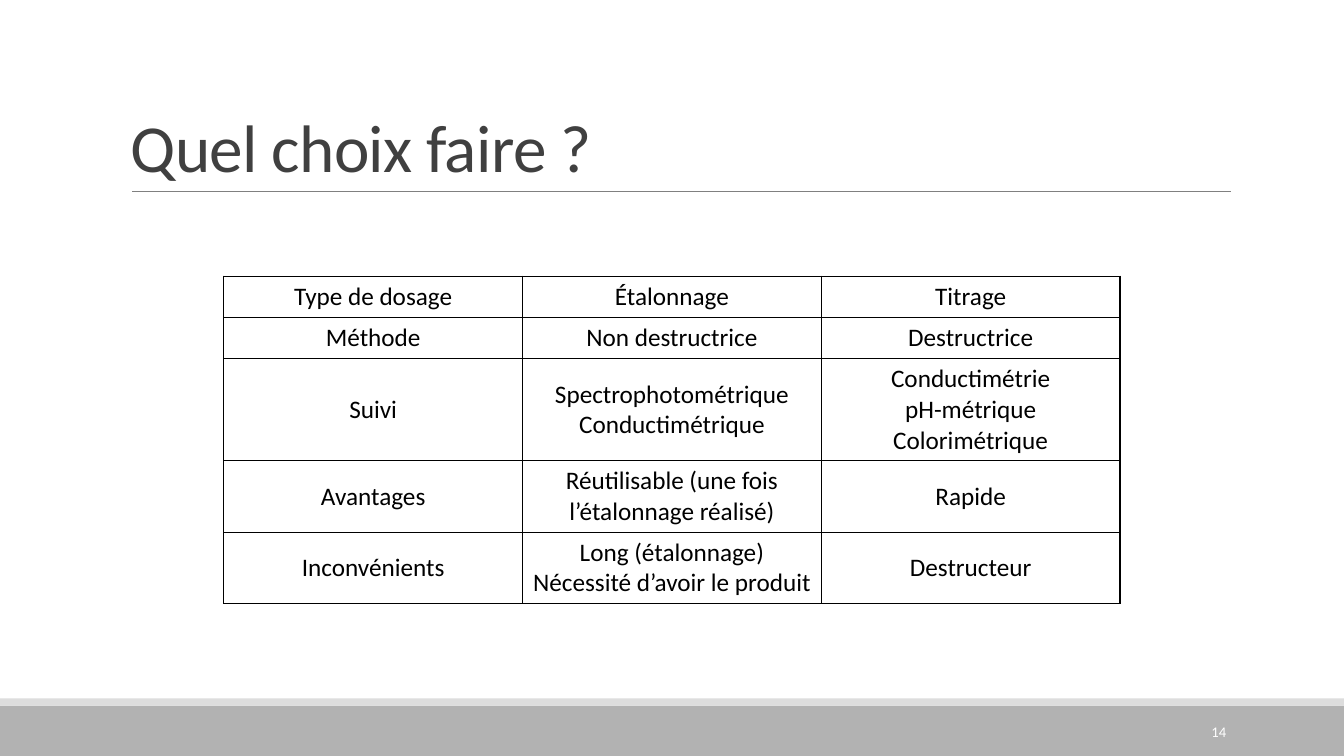
import dataclasses

import pptx
import pptx.dml.color
import pptx.enum.shapes
import pptx.enum.text
import pptx.oxml
import pptx.oxml.ns
import pptx.util

Inches = pptx.util.Inches
Pt = pptx.util.Pt
ALIGN = pptx.enum.text.PP_ALIGN
ANCHOR = pptx.enum.text.MSO_ANCHOR


@dataclasses.dataclass(frozen=True)
class Theme:
    font: str = "Calibri"
    title: str = "404040"
    body: str = "000000"
    rule: str = "808080"
    band: str = "B2B2B2"
    strip: str = "DDDDDD"
    number: str = "FFFFFF"
    title_size: float = 48
    body_size: float = 18
    number_size: float = 10.5


THEME = Theme()

ROWS = [
    ["Type de dosage", "Étalonnage", "Titrage"],
    ["Méthode", "Non destructrice", "Destructrice"],
    ["Suivi", "Spectrophotométrique\nConductimétrique",
     "Conductimétrie\npH-métrique\nColorimétrique"],
    ["Avantages", "Réutilisable (une fois l’étalonnage réalisé)", "Rapide"],
    ["Inconvénients", "Long (étalonnage)\nNécessité d’avoir le produit", "Destructeur"],
]
LINES_PER_ROW = [1, 1, 3, 2, 2]


def rgb(color):
    return pptx.dml.color.RGBColor.from_string(color)


def write(tf, text, size, color, align=ALIGN.LEFT, line_spacing=None, tracking=None):
    """Fill a text frame with one paragraph per line of text; tracking is in points."""
    for i, line in enumerate(text.split("\n")):
        p = tf.add_paragraph() if i else tf.paragraphs[0]
        p.alignment = align
        if line_spacing:
            p.line_spacing = line_spacing
        r = p.add_run()
        r.text = line
        r.font.name = THEME.font
        r.font.size = Pt(size)
        r.font.color.rgb = rgb(color)
        if tracking:
            r._r.get_or_add_rPr().set("spc", str(int(tracking * 100)))


def add_text(slide, box, text, anchor, **fmt):
    tf = slide.shapes.add_textbox(*map(Inches, box)).text_frame
    tf.word_wrap = True
    tf.vertical_anchor = anchor
    write(tf, text, **fmt)


def add_bar(slide, box, color):
    sp = slide.shapes.add_shape(pptx.enum.shapes.MSO_SHAPE.RECTANGLE, *map(Inches, box))
    sp.shadow.inherit = False
    sp.fill.solid()
    sp.fill.fore_color.rgb = rgb(color)
    sp.line.fill.background()


def add_footer(slide, box, number):
    left, top, width, height = box
    strip = 0.07
    add_bar(slide, (left, top + strip, width, height - strip), THEME.band)
    add_bar(slide, (left, top, width, strip), THEME.strip)
    add_text(slide, (left + width - 2.5, top + 0.13, 1.43, 0.4), number, ANCHOR.MIDDLE,
             size=THEME.number_size, color=THEME.number, align=ALIGN.RIGHT)


def add_title(slide, box, text):
    """Place the title at the bottom of its box, with a rule under it."""
    left, top, width, height = box
    y = Inches(top + height)
    rule = slide.shapes.add_connector(pptx.enum.shapes.MSO_CONNECTOR.STRAIGHT,
                                      Inches(left + 0.11), y, Inches(left + width + 0.01), y)
    rule.line.color.rgb = rgb(THEME.rule)
    rule.line.width = Pt(0.5)
    rule._element.spPr.append(pptx.oxml.parse_xml(
        f"<a:effectLst {pptx.oxml.ns.nsdecls('a')}/>"))
    add_text(slide, box, text, ANCHOR.BOTTOM, size=THEME.title_size, color=THEME.title,
             line_spacing=0.85, tracking=-0.5)


def set_borders(cell, color, points):
    tcPr = cell._tc.get_or_add_tcPr()
    for i, side in enumerate(("lnL", "lnR", "lnT", "lnB")):
        tcPr.insert(i, pptx.oxml.parse_xml(
            f'<a:{side} {pptx.oxml.ns.nsdecls("a")} w="{Pt(points)}">'
            f'<a:solidFill><a:srgbClr val="{color}"/></a:solidFill></a:{side}>'))


def add_comparison(slide, box, rows, lines_per_row):
    """Draw the table; each row is as high as its number of text lines needs."""
    table = slide.shapes.add_table(len(rows), len(rows[0]), *map(Inches, box)).table
    table.first_row = table.horz_banding = False
    for row, lines in zip(table.rows, lines_per_row):
        row.height = Inches(0.41 + 0.3 * (lines - 1))
    for row, texts in zip(table.rows, rows):
        for cell, text in zip(row.cells, texts):
            cell.fill.background()
            cell.vertical_anchor = ANCHOR.MIDDLE
            set_borders(cell, THEME.body, 1)
            write(cell.text_frame, text, THEME.body_size, THEME.body, ALIGN.CENTER)


def main():
    prs = pptx.Presentation()
    prs.slide_width, prs.slide_height = Inches(13.33), Inches(7.5)
    slide = prs.slides.add_slide(prs.slide_layouts[6])
    add_footer(slide, (0, 6.93, 13.33, 0.57), "14")
    add_title(slide, (1.2, 0.31, 11, 1.59), "Quel choix faire ?")
    add_comparison(slide, (2.22, 2.74, 8.89, 3.25), ROWS, LINES_PER_ROW)
    prs.save("out.pptx")


if __name__ == "__main__":
    main()
